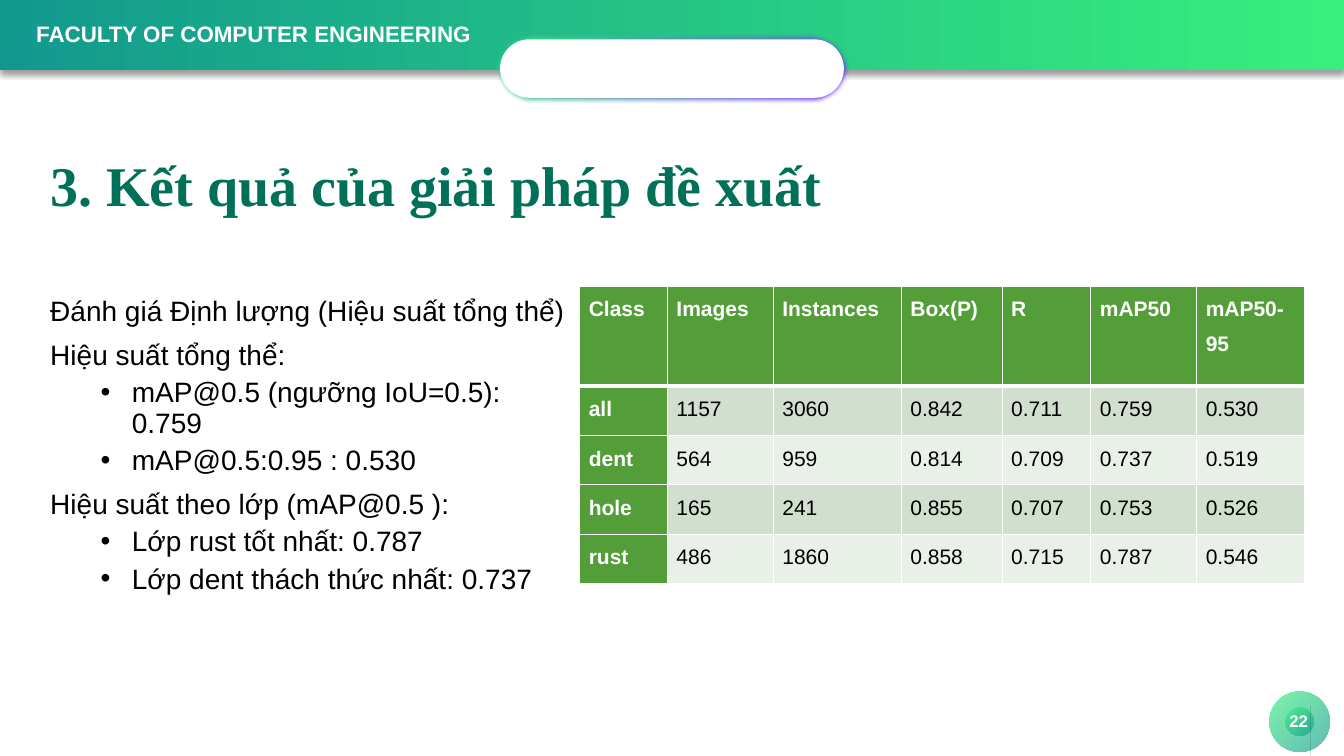
from math import cos, pi, sin

from lxml.etree import SubElement
from pptx import Presentation
from pptx.dml.color import RGBColor
from pptx.enum.shapes import MSO_SHAPE
from pptx.enum.text import MSO_ANCHOR, PP_ALIGN
from pptx.oxml.ns import qn
from pptx.util import Inches, Pt

# Content
FACULTY = "FACULTY OF COMPUTER ENGINEERING"
TITLE = "3. Kết quả của giải pháp đề xuất"
PAGE = "22"
BODY = [  # (level, text)
    (0, "Đánh giá Định lượng (Hiệu suất tổng thể)"),
    (0, "Hiệu suất tổng thể:"),
    (1, "mAP@0.5 (ngưỡng IoU=0.5): 0.759"),
    (1, "mAP@0.5:0.95 : 0.530"),
    (0, "Hiệu suất theo lớp (mAP@0.5 ):"),
    (1, "Lớp rust tốt nhất: 0.787"),
    (1, "Lớp dent thách thức nhất: 0.737"),
]
RESULTS = [
    ("Class", "Images", "Instances", "Box(P)", "R", "mAP50", "mAP50-95"),
    ("all", "1157", "3060", "0.842", "0.711", "0.759", "0.530"),
    ("dent", "564", "959", "0.814", "0.709", "0.737", "0.519"),
    ("hole", "165", "241", "0.855", "0.707", "0.753", "0.526"),
    ("rust", "486", "1860", "0.858", "0.715", "0.787", "0.546"),
]

# Layout and colours
W, H = 13.33, 7.5
BAR_H = 0.69
CORNER = 0.29
COLS = (0.87, 1.05, 1.27, 1, 0.88, 1.05, 1.07)
HEAD_H, ROW_H = 0.99, 0.49
MINT, TEAL, VIOLET = "38EF7D", "11998E", "752AFF"
WHITE, BLACK, GREEN = "FFFFFF", "000000", "549E39"
BANDS = ("D1DFCE", "E9F0E8")


def rgb(value):
    return RGBColor.from_string(value)


def add_xml(parent, tag, **attrs):
    return SubElement(parent, qn(tag), {k: str(v) for k, v in attrs.items()})


def add_color(parent, value, alpha=100):
    clr = add_xml(parent, "a:srgbClr", val=value)
    if alpha < 100:
        add_xml(clr, "a:alpha", val=alpha * 1000)


def add_gradient(parent, start, end, angle, alpha=100):
    grad = add_xml(parent, "a:gradFill", rotWithShape=1)
    stops = add_xml(grad, "a:gsLst")
    for pos, value in ((0, start), (100000, end)):
        add_color(add_xml(stops, "a:gs", pos=pos), value, alpha)
    add_xml(grad, "a:lin", ang=angle * 60000, scaled=0)
    return grad


def add_panel(s, kind, box, fill=None, gradient=None):
    sp = s.shapes.add_shape(kind, *map(Inches, box))
    if kind == MSO_SHAPE.ROUNDED_RECTANGLE:
        sp.adjustments[0] = 0.5
    if gradient:
        add_gradient(sp._element.spPr, *gradient)
    else:
        sp.fill.solid()
        sp.fill.fore_color.rgb = rgb(fill)
    sp.line.fill.background()
    sp.shadow.inherit = False
    return sp


def effects(sp):
    return sp._element.spPr.find(qn("a:effectLst"))


def add_text(s, box, wrap=True, anchor=MSO_ANCHOR.TOP):
    tf = s.shapes.add_textbox(*map(Inches, box)).text_frame
    tf.word_wrap = wrap
    tf.vertical_anchor = anchor
    return tf


def add_run(p, text, size, color=BLACK, bold=False, font="Arial"):
    r = p.add_run()
    r.text = text
    r.font.size, r.font.bold, r.font.name = Pt(size), bold, font
    r.font.color.rgb = rgb(color)
    return r


def inset(box, gap):
    x, y, w, h = box
    return x + gap, y + gap, w - 2 * gap, h - 2 * gap


def add_frame(s):
    # Header bar with its shadow
    bar = add_panel(s, MSO_SHAPE.RECTANGLE, (0, 0, W, BAR_H), gradient=(TEAL, MINT, 0))
    shadow = add_xml(effects(bar), "a:outerShdw", blurRad=Pt(4), dist=Pt(3),
                     dir=90 * 60000, algn="t", rotWithShape=0)
    add_color(shadow, BLACK, 40)
    tf = add_text(s, (0.26, 0.15, 8.11, 0.37), wrap=False)
    add_run(tf.paragraphs[0], FACULTY, 16, WHITE, True)

    # White pill with a glowing rim
    pill = (4.9, 0.33, 3.53, 0.7)
    rim = add_panel(s, MSO_SHAPE.ROUNDED_RECTANGLE, pill, gradient=(MINT, VIOLET, 45))
    add_xml(effects(rim), "a:softEdge", rad=Inches(0.05))
    add_panel(s, MSO_SHAPE.ROUNDED_RECTANGLE, inset(pill, 0.06), WHITE)

    # Page badge
    badge = (12.59, 6.86, 0.6, 0.6)
    for gap in (0, 0.16):
        add_panel(s, MSO_SHAPE.OVAL, inset(badge, gap), gradient=(MINT, TEAL, 45, 65))

    # Black rounded corners of the slide
    fb = None
    for x, dx in ((0, 1), (W, -1)):
        for y, dy in ((0, 1), (H, -1)):
            if fb is None:
                fb = s.shapes.build_freeform(x, y, scale=Inches(1))
            else:
                fb.move_to(x, y)
            angles = [i * pi / 24 for i in range(13)]
            fb.add_line_segments([(x + dx * CORNER * (1 - sin(a)),
                                   y + dy * CORNER * (1 - cos(a))) for a in angles])
    corners = fb.convert_to_shape()
    corners.fill.solid()
    corners.fill.fore_color.rgb = rgb(BLACK)
    corners.line.fill.background()
    corners.shadow.inherit = False


def add_body(s):
    tf = add_text(s, (0.4, 2.9, 5.36, 3.81))
    for i, (level, text) in enumerate(BODY):
        p = tf.paragraphs[0] if i == 0 else tf.add_paragraph()
        p.level = level
        p.line_spacing = 0.9
        if i:
            p.space_before = Pt(5 if level else 10)
        if level:
            pPr = p._p.get_or_add_pPr()
            pPr.set("marL", str(Inches(0.81)))
            pPr.set("indent", str(Inches(-0.31)))
            add_xml(pPr, "a:buFont", typeface="Arial")
            add_xml(pPr, "a:buChar", char="•")
        add_run(p, text, 20)


def add_results(s):
    height = HEAD_H + ROW_H * (len(RESULTS) - 1)
    table = s.shapes.add_table(len(RESULTS), len(COLS), Inches(5.75), Inches(2.84),
                               Inches(sum(COLS)), Inches(height)).table
    for col, width in zip(table.columns, COLS):
        col.width = Inches(width)
    for i, values in enumerate(RESULTS):
        table.rows[i].height = Inches(ROW_H if i else HEAD_H)
        for j, value in enumerate(values):
            label = i == 0 or j == 0
            cell = table.cell(i, j)
            cell.margin_left = cell.margin_right = Inches(0.09)
            cell.margin_top = cell.margin_bottom = 0
            tcPr = cell._tc.get_or_add_tcPr()
            for side in "LRTB":
                thick = (i, side) in ((0, "B"), (1, "T"))
                ln = add_xml(tcPr, f"a:ln{side}", w=Pt(3 if thick else 1))
                add_color(add_xml(ln, "a:solidFill"), WHITE)
            cell.fill.solid()
            cell.fill.fore_color.rgb = rgb(GREEN if label else BANDS[(i - 1) % 2])
            p = cell.text_frame.paragraphs[0]
            p.alignment = PP_ALIGN.JUSTIFY
            p.line_spacing, p.space_after = 1.5, Pt(6)
            add_run(p, value, 15, WHITE if label else BLACK, label)


def main():
    prs = Presentation()
    prs.slide_width, prs.slide_height = Inches(W), Inches(H)
    s = prs.slides.add_slide(prs.slide_layouts[6])
    add_frame(s)

    # Title with gradient lettering
    p = add_text(s, (0.4, 1.1, 10.51, 1.53), anchor=MSO_ANCHOR.MIDDLE).paragraphs[0]
    p.line_spacing = 0.9
    rPr = add_run(p, TITLE, 40, "017058", True, "Times New Roman").font._element
    rPr.replace(rPr.find(qn("a:solidFill")), add_gradient(rPr, "017058", "10CD57", 270))

    add_body(s)

    # Page number
    p = add_text(s, (11.38, 6.95, 3, 0.4), anchor=MSO_ANCHOR.MIDDLE).paragraphs[0]
    p.alignment, p.space_after = PP_ALIGN.CENTER, Pt(6)
    add_run(p, PAGE, 12, WHITE, True)

    add_results(s)
    prs.save("out.pptx")


if __name__ == "__main__":
    main()
